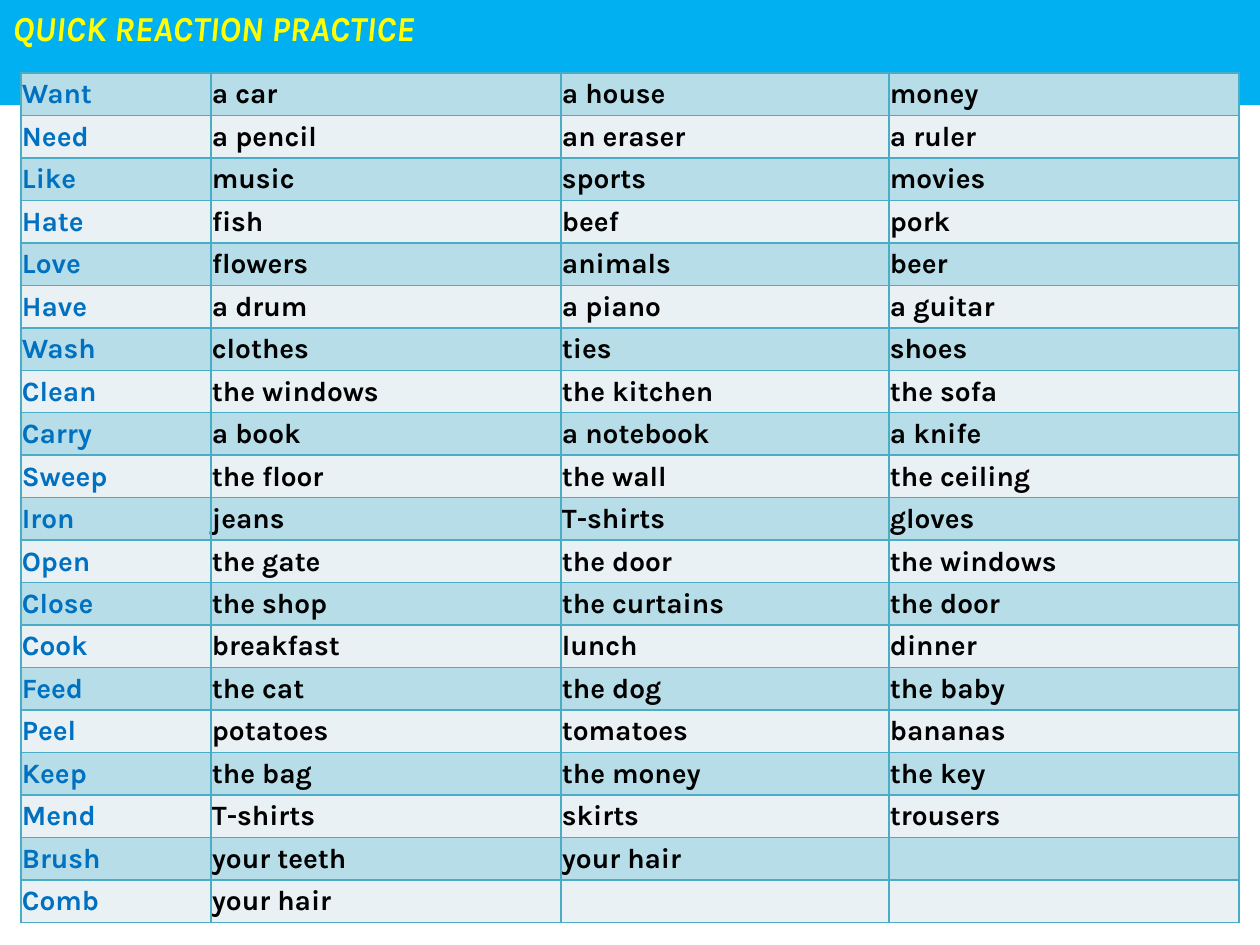
import dataclasses

import pptx
import pptx.dml.color
import pptx.enum.text
import pptx.oxml
import pptx.oxml.ns
import pptx.util


@dataclasses.dataclass(frozen=True)
class Theme:
    font: str = "Karla"
    title_size: int = 20
    cell_size: int = 16
    border_width: int = 1
    band: str = "00B0F0"
    title: str = "FFFF00"
    verb: str = "0070C0"
    noun: str = "000000"
    border: str = "4BACC6"
    stripes: tuple = ("B7DEE8", "E9F1F5")


THEME = Theme()
PX_PER_INCH = 126
TITLE_BOX = (0, 0, 1260, 55)
TABLE_BOX = (21, 73, 1218, 850)
COLUMN_WIDTHS = (190, 350, 328, 350)
PHRASES = (
    ("Want", "a car", "a house", "money"),
    ("Need", "a pencil", "an eraser", "a ruler"),
    ("Like", "music", "sports", "movies"),
    ("Hate", "fish", "beef", "pork"),
    ("Love", "flowers", "animals", "beer"),
    ("Have", "a drum", "a piano", "a guitar"),
    ("Wash", "clothes", "ties", "shoes"),
    ("Clean", "the windows", "the kitchen", "the sofa"),
    ("Carry", "a book", "a notebook", "a knife"),
    ("Sweep", "the floor", "the wall", "the ceiling"),
    ("Iron", "jeans", "T-shirts", "gloves"),
    ("Open", "the gate", "the door", "the windows"),
    ("Close", "the shop", "the curtains", "the door"),
    ("Cook", "breakfast", "lunch", "dinner"),
    ("Feed", "the cat", "the dog", "the baby"),
    ("Peel", "potatoes", "tomatoes", "bananas"),
    ("Keep", "the bag", "the money", "the key"),
    ("Mend", "T-shirts", "skirts", "trousers"),
    ("Brush", "your teeth", "your hair", ""),
    ("Comb", "your hair", "", ""),
)


def px(length):
    return pptx.util.Emu(round(length * 914400 / PX_PER_INCH))


def paint(fill, color):
    fill.solid()
    fill.fore_color.rgb = pptx.dml.color.RGBColor.from_string(color)


def style_font(font, size, color, italic=False):
    font.name = THEME.font
    font.size = pptx.util.Pt(size)
    font.bold = True
    font.italic = italic
    font.color.rgb = pptx.dml.color.RGBColor.from_string(color)


def add_title(page, box, text):
    title = page.shapes.title
    title.left, title.top, title.width, title.height = map(px, box)
    paint(title.fill, THEME.band)
    frame = title.text_frame
    frame.text = text
    frame.word_wrap = True
    frame.auto_size = pptx.enum.text.MSO_AUTO_SIZE.SHAPE_TO_FIT_TEXT
    frame.vertical_anchor = pptx.enum.text.MSO_ANCHOR.TOP
    para = frame.paragraphs[0]
    para.alignment = pptx.enum.text.PP_ALIGN.LEFT
    style_font(para.font, THEME.title_size, THEME.title, italic=True)


def add_borders(cell):
    properties = cell._tc.get_or_add_tcPr()
    width = pptx.util.Pt(THEME.border_width)
    for side in ("lnL", "lnR", "lnT", "lnB"):
        properties.append(pptx.oxml.parse_xml(
            f'<a:{side} {pptx.oxml.ns.nsdecls("a")} w="{width}">'
            f'<a:solidFill><a:srgbClr val="{THEME.border}"/></a:solidFill>'
            f'</a:{side}>'))


def fill_cell(cell, text, text_color, fill_color):
    cell.text = text
    cell.vertical_anchor = pptx.enum.text.MSO_ANCHOR.MIDDLE
    cell.margin_left = cell.margin_right = cell.margin_top = px(1)
    cell.margin_bottom = 0
    add_borders(cell)
    paint(cell.fill, fill_color)
    style_font(cell.text_frame.paragraphs[0].font, THEME.cell_size, text_color)


def add_phrase_table(page, box, phrases):
    table = page.shapes.add_table(
        len(phrases), len(COLUMN_WIDTHS), *map(px, box)).table
    table.first_row = False
    table.horz_banding = False
    for column, width in zip(table.columns, COLUMN_WIDTHS):
        column.width = px(width)
    for row_index, phrase in enumerate(phrases):
        table.rows[row_index].height = px(box[3] / len(phrases))
        stripe = THEME.stripes[row_index % 2]
        for column_index, text in enumerate(phrase):
            color = THEME.noun if column_index else THEME.verb
            fill_cell(table.cell(row_index, column_index), text, color, stripe)


def main():
    deck = pptx.Presentation()
    deck.slide_width, deck.slide_height = px(1260), px(945)
    page = deck.slides.add_slide(deck.slide_layouts.get_by_name("Title Only"))
    add_title(page, TITLE_BOX, "QUICK REACTION PRACTICE")
    add_phrase_table(page, TABLE_BOX, PHRASES)
    deck.save("out.pptx")


if __name__ == "__main__":
    main()
